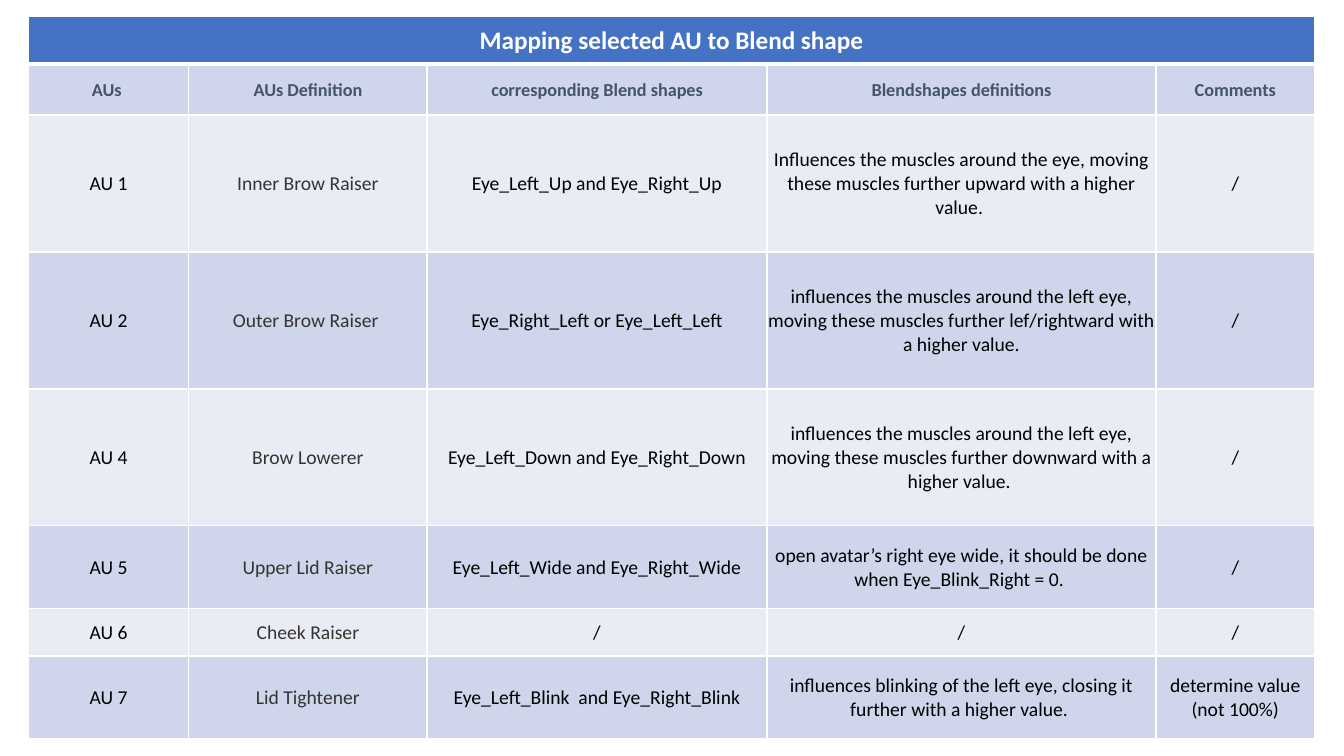
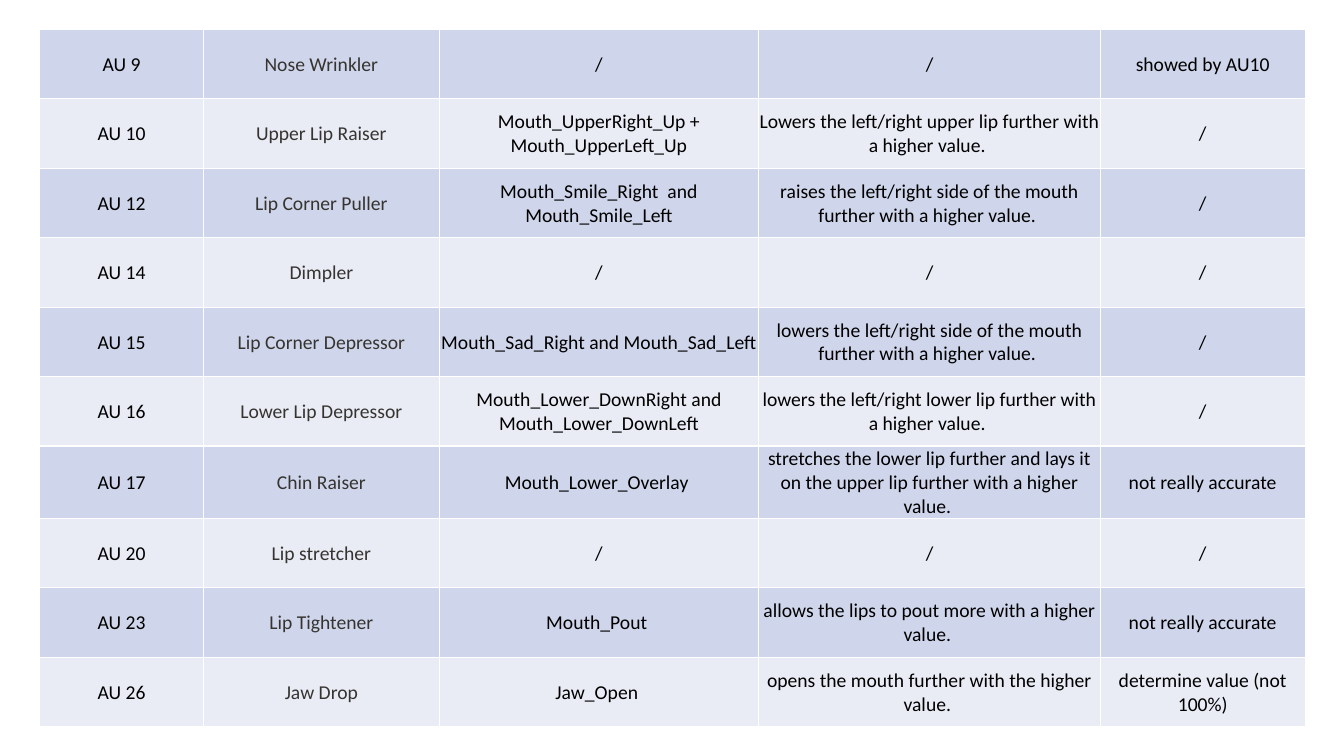
"""Build two slides of tables that map facial action units to blend shapes."""
from dataclasses import astuple, dataclass

from lxml.etree import SubElement
from pptx import Presentation
from pptx.dml.color import RGBColor
from pptx.enum.text import MSO_ANCHOR as Anchor, PP_ALIGN as Align
from pptx.oxml.ns import qn
from pptx.slide import Slide
from pptx.table import _Cell as Cell
from pptx.util import Cm, Pt

FONT = "Calibri"
COLORS = {
    "title_band": "4472C4",
    "dark_stripe": "CFD5EA",
    "light_stripe": "E9EBF5",
    "white": "FFFFFF",
    "heading": "44546A",
    "definition": "363430",
    "body": "000000",
}
INSET = Cm(0.02)
THIN, THICK = Pt(1), Pt(3)


@dataclass(frozen=True)
class TextStyle:
    size: int
    color: str
    bold: bool = False


@dataclass(frozen=True)
class ActionUnit:
    code: str
    definition: str
    blend_shapes: str = "/"
    effect: str = "/"
    comment: str = "/"


@dataclass(frozen=True)
class Grid:
    left: float
    top: float
    columns: tuple[float, ...]
    rows: tuple[float, ...]


TITLE_STYLE = TextStyle(18, "white", True)
HEADING_STYLE = TextStyle(13, "heading", True)
BODY_STYLE = TextStyle(14, "body")
DEFINITION_STYLE = TextStyle(14, "definition")

TITLE = "Mapping selected AU to Blend shape"
HEADINGS = ("AUs ", "AUs Definition", "corresponding Blend shapes",
            "Blendshapes definitions", "Comments")

EYE_GRID = Grid(0.72, 0.42, (4.04, 6, 8.57, 9.8, 4),
                (1.19, 1.29, 3.45, 3.45, 3.45, 2.09, 1.19, 2.09))
MOUTH_GRID = Grid(1, 0.74, (4.13, 5.94, 8.05, 8.61, 5.16), (1.75,) * 10)

EYE_UNITS = (
    ActionUnit("AU 1", "Inner Brow Raiser", "Eye_Left_Up and Eye_Right_Up",
               "Influences the muscles around the eye, moving these muscles "
               "further upward with a higher value. "),
    ActionUnit("AU 2", "Outer Brow Raiser ", "Eye_Right_Left or Eye_Left_Left",
               "influences the muscles around the left eye, moving these muscles "
               "further lef/rightward with a higher value."),
    ActionUnit("AU 4", "Brow Lowerer", "Eye_Left_Down and Eye_Right_Down",
               "influences the muscles around the left eye, moving these muscles "
               "further downward with a higher value. "),
    ActionUnit("AU 5", "Upper Lid Raiser", "Eye_Left_Wide and Eye_Right_Wide",
               "open avatar’s right eye wide, it should be done when "
               "Eye_Blink_Right = 0. "),
    ActionUnit("AU 6", "Cheek Raiser"),
    ActionUnit("AU 7", "Lid Tightener", "Eye_Left_Blink  and Eye_Right_Blink",
               "influences blinking of the left eye, closing it further with a "
               "higher value. ", "determine value (not 100%)"),
)
MOUTH_UNITS = (
    ActionUnit("AU 9", "Nose Wrinkler", comment="showed by AU10"),
    ActionUnit("AU 10", "Upper Lip Raiser",
               "Mouth_UpperRight_Up + Mouth_UpperLeft_Up",
               "Lowers the left/right upper lip further with a higher value. "),
    ActionUnit("AU 12", "Lip Corner Puller",
               "Mouth_Smile_Right  and Mouth_Smile_Left",
               "raises the left/right side of the mouth further with a higher value. "),
    ActionUnit("AU 14", "Dimpler"),
    ActionUnit("AU 15", "Lip Corner Depressor",
               "Mouth_Sad_Right and Mouth_Sad_Left",
               "lowers the left/right side of the mouth further with a higher value. "),
    ActionUnit("AU 16", "Lower Lip Depressor",
               "Mouth_Lower_DownRight and Mouth_Lower_DownLeft",
               "lowers the left/right lower lip further with a higher value. "),
    ActionUnit("AU 17", "Chin Raiser", "Mouth_Lower_Overlay ",
               "stretches the lower lip further and lays it on the upper lip "
               "further with a higher value. ", "not really accurate"),
    ActionUnit("AU 20", "Lip stretcher"),
    ActionUnit("AU 23", "Lip Tightener", "Mouth_Pout ",
               "allows the lips to pout more with a higher value. ",
               "not really accurate"),
    ActionUnit("AU 26", "Jaw Drop", "Jaw_Open ",
               "opens the mouth further with the higher value. ",
               "determine value (not 100%)"),
)


def rgb(name: str) -> RGBColor:
    return RGBColor.from_string(COLORS[name])


def set_borders(cell: Cell, top: int, bottom: int) -> None:
    properties = cell._tc.get_or_add_tcPr()
    edges = {"a:lnL": THIN, "a:lnR": THIN, "a:lnT": top, "a:lnB": bottom}
    for position, (tag, width) in enumerate(edges.items()):
        edge = SubElement(properties, qn(tag), w=str(int(width)))
        fill = SubElement(edge, qn("a:solidFill"))
        SubElement(fill, qn("a:srgbClr"), val=COLORS["white"])
        properties.insert(position, edge)


def fill_cell(cell: Cell, text: str, style: TextStyle, fill: str,
              top: int = THIN, bottom: int = THIN) -> None:
    cell.fill.solid()
    cell.fill.fore_color.rgb = rgb(fill)
    set_borders(cell, top, bottom)
    cell.vertical_anchor = Anchor.MIDDLE
    cell.margin_left = cell.margin_right = cell.margin_top = INSET
    cell.margin_bottom = 0
    cell.text_frame.text = text
    paragraph = cell.text_frame.paragraphs[0]
    paragraph.alignment = Align.CENTER
    for font in (paragraph.font, *(run.font for run in paragraph.runs)):
        font.name = FONT
        font.size = Pt(style.size)
        font.bold = style.bold
        font.color.rgb = rgb(style.color)


def draw_mapping(slide: Slide, grid: Grid, units: tuple[ActionUnit, ...],
                 titled: bool = False) -> None:
    mapping = slide.shapes.add_table(
        len(grid.rows), len(grid.columns), Cm(grid.left), Cm(grid.top),
        Cm(sum(grid.columns)), Cm(sum(grid.rows))).table
    mapping.first_row = mapping.horz_banding = False
    for column, width in zip(mapping.columns, grid.columns):
        column.width = Cm(width)
    for row, height in zip(mapping.rows, grid.rows):
        row.height = Cm(height)

    lines = [astuple(unit) for unit in units]
    first_line = 0
    if titled:
        lines.insert(0, HEADINGS)
        first_line = 1
        mapping.cell(0, 0).merge(mapping.cell(0, len(HEADINGS) - 1))
        for index, cell in enumerate(mapping.rows[0].cells):
            fill_cell(cell, "" if index else TITLE, TITLE_STYLE, "title_band",
                      bottom=THICK)

    for number, line in enumerate(lines):
        stripe = "light_stripe" if number % 2 else "dark_stripe"
        is_heading = titled and number == 0
        for index, text in enumerate(line):
            style = DEFINITION_STYLE if index == 1 else BODY_STYLE
            fill_cell(mapping.cell(first_line + number, index), text,
                      HEADING_STYLE if is_heading else style, stripe,
                      top=THICK if is_heading else THIN)


def main() -> None:
    deck = Presentation()
    deck.slide_width, deck.slide_height = Cm(33.87), Cm(19.05)
    blank = deck.slide_layouts[6]
    draw_mapping(deck.slides.add_slide(blank), EYE_GRID, EYE_UNITS, titled=True)
    draw_mapping(deck.slides.add_slide(blank), MOUTH_GRID, MOUTH_UNITS)
    deck.save("out.pptx")


if __name__ == "__main__":
    main()
